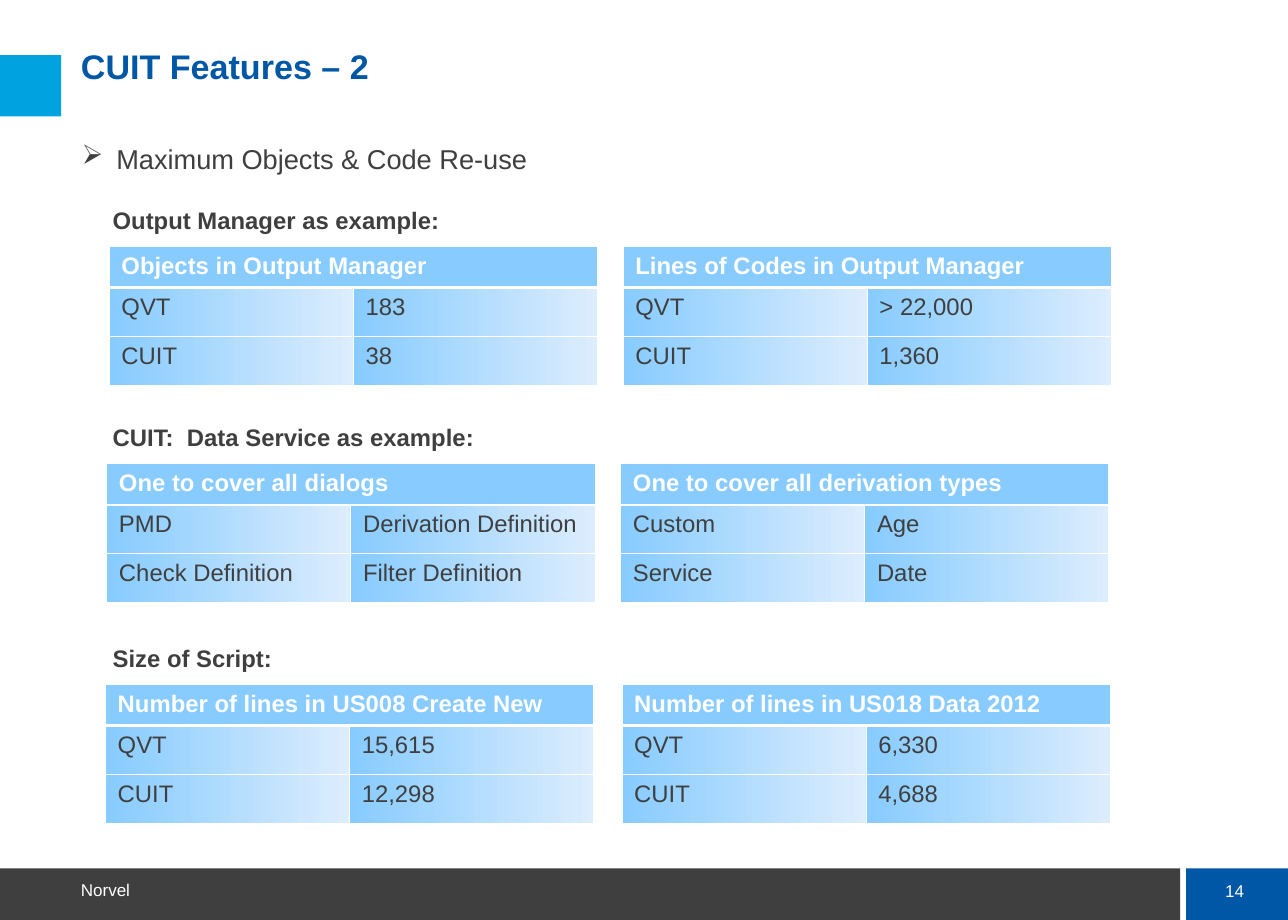
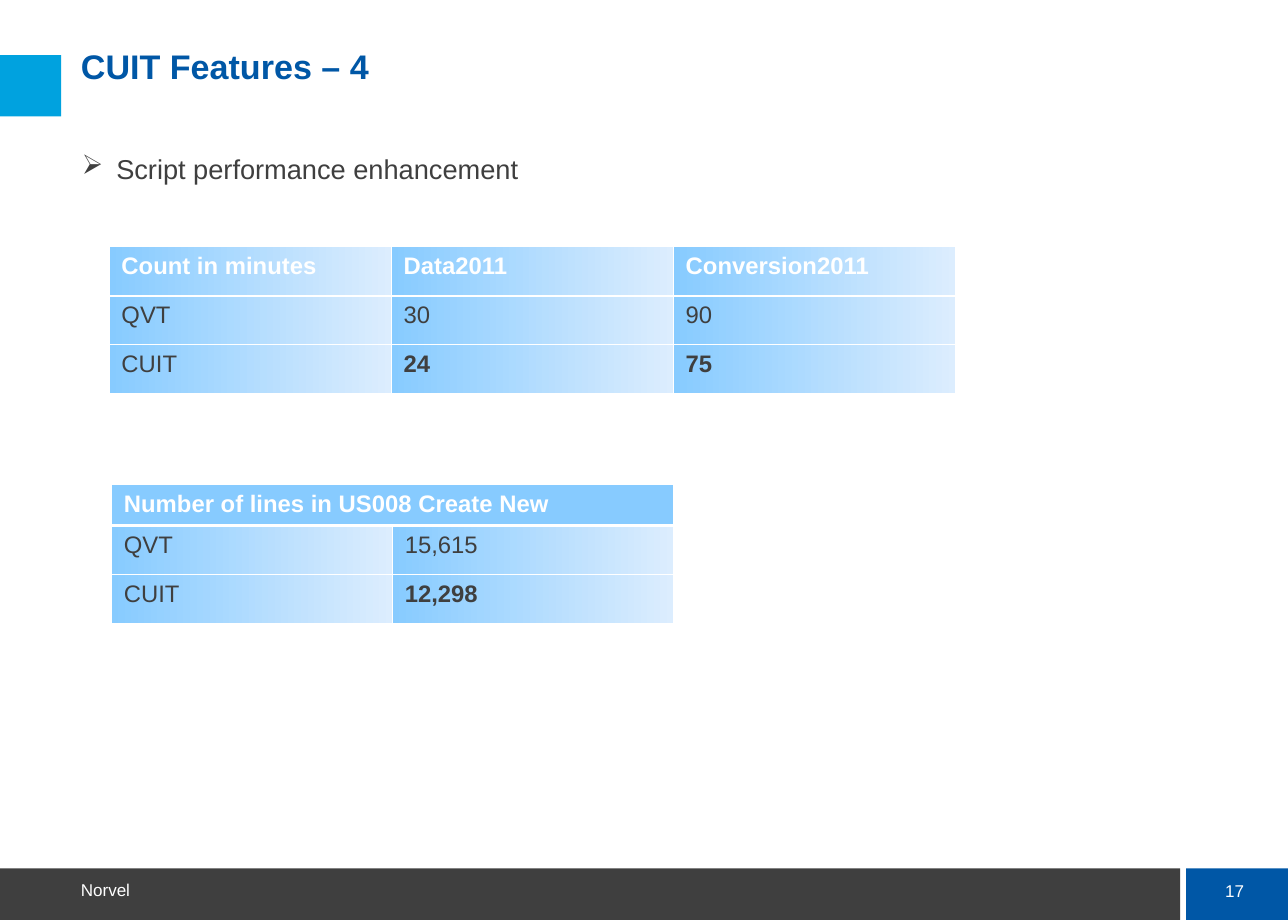
from lxml import etree
from pptx import Presentation
from pptx.dml.color import RGBColor
from pptx.enum.shapes import MSO_SHAPE
from pptx.enum.text import MSO_ANCHOR, PP_ALIGN
from pptx.oxml.ns import qn
from pptx.util import Inches, Pt

RECT = MSO_SHAPE.RECTANGLE
TOP, MIDDLE, BOTTOM = MSO_ANCHOR.TOP, MSO_ANCHOR.MIDDLE, MSO_ANCHOR.BOTTOM
LEFT, CENTER = PP_ALIGN.LEFT, PP_ALIGN.CENTER

FONT = "Arial"
COLORS = {"navy": "0057A6", "accent": "00A2DF", "dark": "3F3F3F",
          "white": "FFFFFF", "sky": "87CBFF", "pale": "DCEDFE"}
W, H = 10.5, 7.5
BAND_TOP, BAND_H = 7.08, 0.42
TEXT_LEFT = 0.66
BODY_H = 0.4
THIN, THICK = 0.45, 1.47
COMPANY = "Norvel"

SLIDES = [
    {"title": "CUIT Features – 2", "number": "14",
     "bullet": (1.06, "Maximum Objects & Code Re-use"),
     "headings": [(1.63, "Output Manager as example:"),
                  (3.4, "CUIT:  Data Service as example:"),
                  (5.2, "Size of Script:")],
     "tables": [
         (0.89, 2.01, 3.98, [["Objects in Output Manager"],
                             ["QVT", "183"], ["CUIT", "38"]]),
         (5.08, 2.01, 3.98, [["Lines of Codes in Output Manager"],
                             ["QVT", "> 22,000"], ["CUIT", "1,360"]]),
         (0.87, 3.78, 3.98, [["One to cover all dialogs"],
                             ["PMD", "Derivation Definition"],
                             ["Check Definition", "Filter Definition"]]),
         (5.06, 3.78, 3.98, [["One to cover all derivation types"],
                             ["Custom", "Age"], ["Service", "Date"]]),
         (0.86, 5.58, 3.98, [["Number of lines in US008 Create New"],
                             ["QVT", "15,615"], ["CUIT", "12,298"]]),
         (5.07, 5.58, 3.98, [["Number of lines in US018 Data 2012"],
                             ["QVT", "6,330"], ["CUIT", "4,688"]]),
     ],
     "bold": set()},
    {"title": "CUIT Features – 4", "number": "17",
     "bullet": (1.14, "Script performance enhancement"),
     "headings": [],
     "tables": [
         (0.89, 2.01, 6.9, [["Count in minutes", "Data2011", "Conversion2011"],
                            ["QVT", "30", "90"], ["CUIT", "24", "75"]]),
         (0.91, 3.95, 4.58, [["Number of lines in US008 Create New"],
                             ["QVT", "15,615"], ["CUIT", "12,298"]]),
     ],
     "bold": {"24", "75", "12,298"}},
]


def rgb(name):
    return RGBColor.from_string(COLORS[name])


def add_run(p, text, size, color, bold=False):
    r = p.add_run()
    r.text = text
    r.font.name, r.font.size, r.font.bold = FONT, Pt(size), bold
    r.font.color.rgb = rgb(color)


def add_text(s, box, text, size, color, bold=False, inset=(0, 0),
             anchor=TOP, align=LEFT):
    tf = s.shapes.add_textbox(*map(Inches, box)).text_frame
    tf.word_wrap = True
    tf.vertical_anchor = anchor
    tf.margin_left = tf.margin_right = Inches(inset[0])
    tf.margin_top = tf.margin_bottom = Inches(inset[1])
    p = tf.paragraphs[0]
    p.alignment = align
    add_run(p, text, size, color, bold)
    return p


def add_rect(s, box, color):
    sp = s.shapes.add_shape(RECT, *map(Inches, box))
    sp.shadow.inherit = False
    sp.fill.solid()
    sp.fill.fore_color.rgb = rgb(color)
    sp.line.fill.background()


def add_bullet(p, indent):
    pPr = p._p.get_or_add_pPr()
    pPr.set("marL", str(Inches(indent)))
    pPr.set("indent", str(-Inches(indent)))
    clr = etree.SubElement(pPr, qn("a:buClr"))
    etree.SubElement(clr, qn("a:srgbClr"), val=COLORS["dark"])
    etree.SubElement(pPr, qn("a:buChar"), char="➢")


def fill_cell(cell, gradient):
    if not gradient:
        cell.fill.solid()
        cell.fill.fore_color.rgb = rgb("sky")
        return
    cell.fill.gradient()
    cell.fill.gradient_angle = 0
    for stop, color in zip(cell.fill.gradient_stops, ("sky", "pale")):
        stop.color.rgb = rgb(color)


def set_borders(cell, top, bottom):
    tcPr = cell._tc.get_or_add_tcPr()
    sides = (("L", THIN), ("R", THIN), ("T", top), ("B", bottom))
    for i, (side, width) in enumerate(sides):
        ln = etree.Element(qn("a:ln" + side), w=str(Pt(width)))
        fill = etree.SubElement(ln, qn("a:solidFill"))
        etree.SubElement(fill, qn("a:srgbClr"), val=COLORS["white"])
        tcPr.insert(i, ln)


def add_grid(s, left, top, width, rows, bold):
    cols = len(rows[-1])
    merged = len(rows[0]) < cols
    heights = [0.33 if merged else BODY_H] + [BODY_H] * (len(rows) - 1)
    frame = s.shapes.add_table(len(rows), cols, Inches(left), Inches(top),
                               Inches(width), Inches(sum(heights)))
    table = frame.table
    table.first_row = table.horz_banding = False
    for col in table.columns:
        col.width = Inches(width / cols)
    for i, height in enumerate(heights):
        table.rows[i].height = Inches(height)
        for j in range(cols):
            cell = table.cell(i, j)
            fill_cell(cell, gradient=i > 0 or not merged)
            set_borders(cell, THICK if i == 1 else THIN,
                        THICK if i == 0 else THIN)
        for j, text in enumerate(rows[i]):
            add_run(table.cell(i, j).text_frame.paragraphs[0], text, 14,
                    "dark" if i else "white", i == 0 or text in bold)
    if merged:
        table.cell(0, 0).merge(table.cell(0, cols - 1))


def add_frame(s, title, number):
    add_rect(s, (0, BAND_TOP, 9.62, BAND_H), "dark")
    add_rect(s, (9.67, BAND_TOP, W - 9.67, BAND_H), "navy")
    add_rect(s, (0, 0.45, 0.5, 0.5), "accent")
    add_text(s, (9.82, 7.13, 0.49, 0.27), number, 10, "white",
             anchor=MIDDLE, align=CENTER)
    add_text(s, (TEXT_LEFT, 7.15, 4.19, 0.19), COMPANY, 10, "white",
             anchor=BOTTOM)
    p = add_text(s, (TEXT_LEFT, 0.41, 8.96, 0.66), title, 20, "navy", True)
    p.line_spacing = 0.9


def main():
    prs = Presentation()
    prs.slide_width, prs.slide_height = Inches(W), Inches(H)
    for page in SLIDES:
        s = prs.slides.add_slide(prs.slide_layouts[6])
        add_frame(s, page["title"], page["number"])
        top, text = page["bullet"]
        p = add_text(s, (0.57, top, 8.2, 0.47), text, 16, "dark",
                     inset=(0.1, 0.1))
        add_bullet(p, 0.28)
        for top, text in page["headings"]:
            add_text(s, (0.82, top, 8.27, 0.34), text, 14, "dark", True,
                     inset=(0.1, 0.05))
        for left, top, width, rows in page["tables"]:
            add_grid(s, left, top, width, rows, page["bold"])
    prs.save("out.pptx")


if __name__ == "__main__":
    main()
